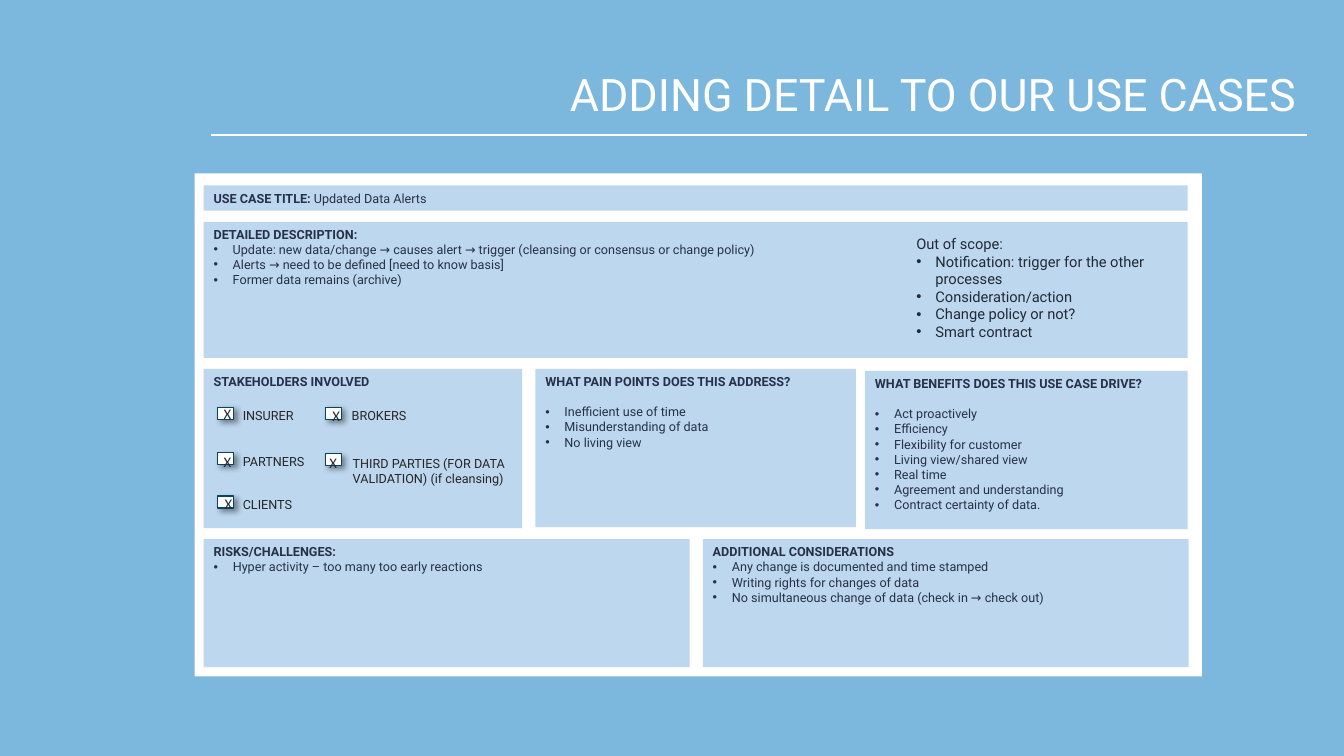
"""Build a slide that details one use case in a framed canvas."""
from dataclasses import dataclass

from lxml.etree import SubElement
from pptx import Presentation
from pptx.dml.color import RGBColor
from pptx.enum.shapes import MSO_CONNECTOR, MSO_SHAPE
from pptx.enum.text import MSO_ANCHOR, PP_ALIGN
from pptx.oxml.ns import qn
from pptx.shapes.autoshape import Shape
from pptx.slide import Slide
from pptx.util import Inches, Pt

SKY = RGBColor(0x7C, 0xB7, 0xDD)
PALE = RGBColor(0xBD, 0xD7, 0xEE)
WHITE = RGBColor(0xFF, 0xFF, 0xFF)
NAVY = RGBColor(0x26, 0x31, 0x47)
SLATE = RGBColor(0x22, 0x2A, 0x35)
CHARCOAL = RGBColor(0x26, 0x26, 0x26)
TEAL = RGBColor(0x09, 0x45, 0x5F)

Box = tuple[float, float, float, float]


@dataclass(frozen=True)
class Style:
    size: float
    color: RGBColor
    font: str = "Roboto"
    align: PP_ALIGN = PP_ALIGN.LEFT


@dataclass(frozen=True)
class Panel:
    box: Box
    heading: str
    detail: str = ""
    bullets: tuple[str, ...] = ()
    gap: float = 0


@dataclass(frozen=True)
class Stakeholder:
    label: str
    check: tuple[float, float]
    label_box: Box
    mark: tuple[float, float]


TITLE = Style(32, WHITE, align=PP_ALIGN.RIGHT)
BODY = Style(9, NAVY)
LABEL = Style(9, CHARCOAL)
SCOPE = Style(10.5, SLATE)
MARK = Style(10.5, SLATE, "Calibri", PP_ALIGN.CENTER)

PANELS = (
    Panel((2.02, 1.84, 9.76, 0.25), "USE CASE TITLE: ", "Updated Data Alerts"),
    Panel((2.02, 2.2, 9.76, 1.35), "DETAILED DESCRIPTION:", bullets=(
        "Update: new data/change → causes alert → trigger "
        "(cleansing or consensus or change policy)",
        "Alerts → need to be defined [need to know basis]",
        "Former data remains (archive)")),
    Panel((2.02, 3.66, 3.16, 1.58), "STAKEHOLDERS INVOLVED"),
    Panel((5.31, 3.66, 3.18, 1.57), "WHAT PAIN POINTS DOES THIS ADDRESS?", bullets=(
        "Inefficient use of time", "Misunderstanding of data", "No living view"), gap=10.8),
    Panel((8.58, 3.68, 3.2, 1.57), "WHAT BENEFITS DOES THIS USE CASE DRIVE?", bullets=(
        "Act proactively", "Efficiency", "Flexibility for customer",
        "Living view/shared view", "Real time", "Agreement and understanding",
        "Contract certainty of data."), gap=10.8),
    Panel((2.02, 5.35, 4.82, 1.27), "RISKS/CHALLENGES:", bullets=(
        "Hyper activity – too many too early reactions",)),
    Panel((6.97, 5.35, 4.82, 1.27), "ADDITIONAL CONSIDERATIONS", bullets=(
        "Any change is documented and time stamped",
        "Writing rights for changes of data",
        "No simultaneous change of data (check in → check out)")),
)

STAKEHOLDERS = (
    Stakeholder("INSURER", (2.16, 4.04), (2.31, 4, 1.57, 0.25), (2.08, 3.97)),
    Stakeholder("PARTNERS", (2.16, 4.49), (2.31, 4.45, 1.57, 0.25), (2.08, 4.44)),
    Stakeholder("CLIENTS", (2.16, 4.92), (2.31, 4.88, 1.57, 0.25), (2.09, 4.86)),
    Stakeholder("BROKERS", (3.23, 4.04), (3.39, 4, 1.57, 0.25), (3.16, 3.99)),
    Stakeholder("THIRD PARTIES (FOR DATA VALIDATION) (if cleansing)",
                (3.23, 4.5), (3.4, 4.47, 1.89, 0.4), (3.13, 4.45)),
)


def add_rect(slide: Slide, box: Box, fill: RGBColor) -> Shape:
    rect = slide.shapes.add_shape(MSO_SHAPE.RECTANGLE, *map(Inches, box))
    rect.shadow.inherit = False
    rect.fill.solid()
    rect.fill.fore_color.rgb = fill
    rect.line.fill.background()
    return rect


def write(shape: Shape, lines: tuple[str, ...], style: Style) -> None:
    frame = shape.text_frame
    frame.word_wrap = True
    frame.vertical_anchor = MSO_ANCHOR.TOP
    frame.text = "\n".join(lines)
    for index, paragraph in enumerate(frame.paragraphs):
        paragraph.alignment = style.align
        if index:
            properties = paragraph._p.get_or_add_pPr()
            properties.set("marL", str(Inches(0.19)))
            properties.set("indent", str(Inches(-0.19)))
            SubElement(properties, qn("a:buFont"), typeface="Arial")
            SubElement(properties, qn("a:buChar"), char="•")
        for run in paragraph.runs:
            run.font.name = style.font
            run.font.size = Pt(style.size)
            run.font.color.rgb = style.color


def add_text(slide: Slide, box: Box, lines: tuple[str, ...], style: Style) -> None:
    write(slide.shapes.add_textbox(*map(Inches, box)), lines, style)


def add_panel(slide: Slide, panel: Panel) -> None:
    rect = add_rect(slide, panel.box, PALE)
    write(rect, (panel.heading, *panel.bullets), BODY)
    heading = rect.text_frame.paragraphs[0]
    heading.space_after = Pt(panel.gap)
    heading.runs[0].font.bold = True
    if panel.detail:
        detail = heading.add_run()
        detail.text = panel.detail
        detail.font.name = BODY.font
        detail.font.size = Pt(BODY.size)
        detail.font.color.rgb = BODY.color


def add_stakeholder(slide: Slide, stakeholder: Stakeholder) -> None:
    check = add_rect(slide, (*stakeholder.check, 0.16, 0.12), WHITE)
    check.line.color.rgb = TEAL
    check.line.width = Pt(1)
    effects = check._element.spPr.find(qn("a:effectLst"))
    shadow = SubElement(effects, qn("a:outerShdw"), blurRad=str(Pt(4)), dist=str(Pt(3)),
                        dir="2700000", algn="tl", rotWithShape="0")
    black = SubElement(shadow, qn("a:srgbClr"), val="000000")
    SubElement(black, qn("a:alpha"), val="40000")
    add_text(slide, stakeholder.label_box, (stakeholder.label,), LABEL)
    add_text(slide, (*stakeholder.mark, 0.35, 0.28), ("X",), MARK)


def add_title(slide: Slide) -> None:
    add_text(slide, (1.83, 0.61, 11.13, 0.64), ("ADDING DETAIL TO OUR USE CASES",), TITLE)
    rule = slide.shapes.add_connector(
        MSO_CONNECTOR.STRAIGHT, *map(Inches, (2.09, 1.34, 12.96, 1.34)))
    rule.line.color.rgb = WHITE
    rule.line.width = Pt(1)
    SubElement(rule._element.spPr, qn("a:effectLst"))


def main() -> None:
    deck = Presentation()
    deck.slide_width, deck.slide_height = Inches(13.33), Inches(7.5)
    slide = deck.slides.add_slide(deck.slide_layouts[6])
    add_rect(slide, (0, 0, 13.33, 7.5), SKY)
    add_title(slide)
    add_rect(slide, (1.93, 1.72, 9.99, 4.99), WHITE)
    for panel in PANELS:
        add_panel(slide, panel)
    for stakeholder in STAKEHOLDERS:
        add_stakeholder(slide, stakeholder)
    add_text(slide, (8.99, 2.28, 2.8, 1.16), (
        "Out of scope:", "Notification: trigger for the other processes",
        "Consideration/action", "Change policy or not?", "Smart contract"), SCOPE)
    deck.save("out.pptx")


if __name__ == "__main__":
    main()
